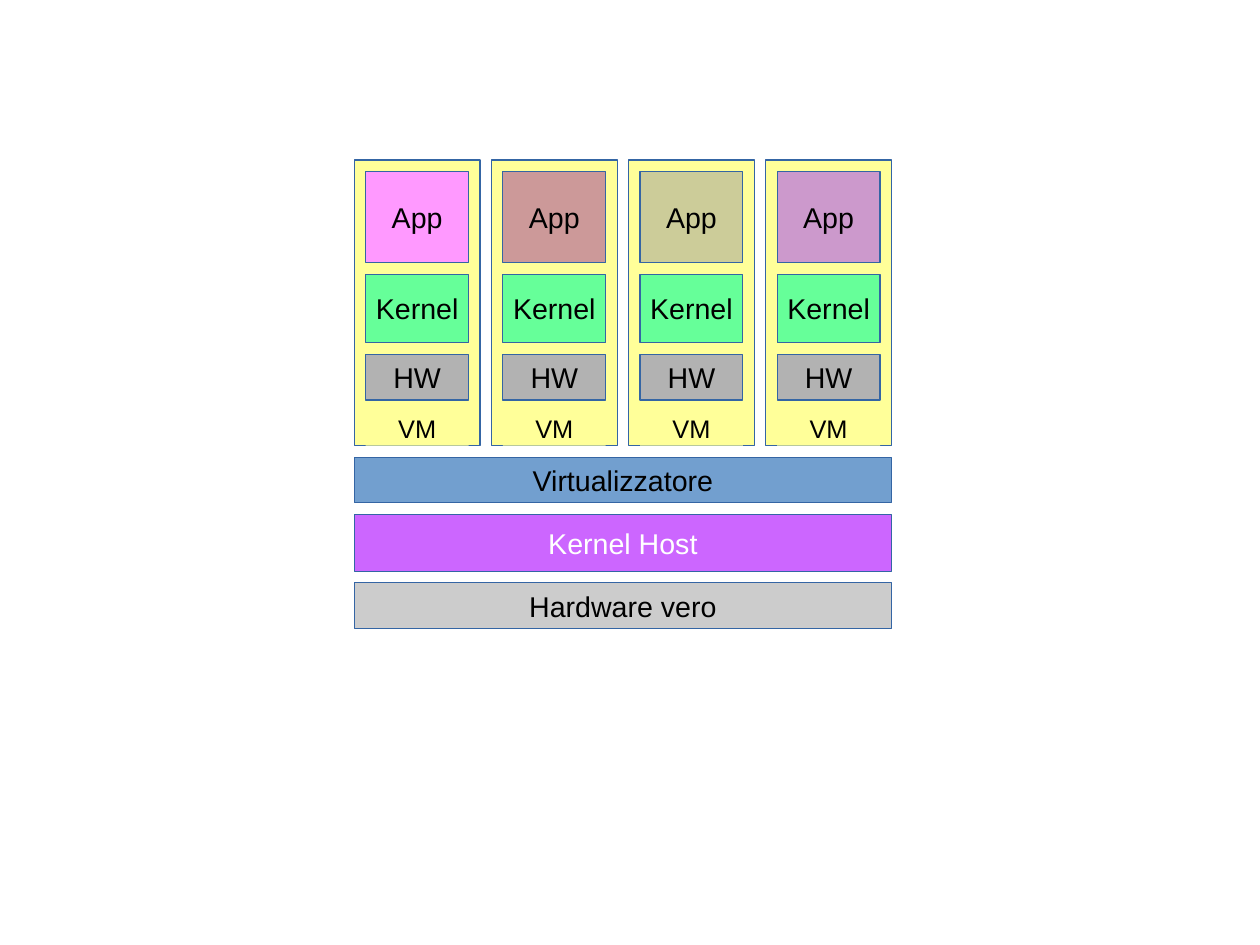
from dataclasses import dataclass

from pptx import Presentation
from pptx.dml.color import RGBColor
from pptx.enum.shapes import MSO_SHAPE
from pptx.enum.text import MSO_ANCHOR, PP_ALIGN
from pptx.slide import Slide
from pptx.util import Inches, Pt

CM_PER_INCH = 2.54
SLIDE_WIDTH_CM, SLIDE_HEIGHT_CM = 28, 21
BORDER = "3465A4"
VM_YELLOW = "FFFF99"
STACK_LEFT, STACK_WIDTH = 3.1, 4.7
VM_TOP, VM_WIDTH, VM_HEIGHT = 1.4, 1.1, 2.5
GAP = 0.1
APP_COLORS = ("FF99FF", "CC9999", "CCCC99", "CC99CC")


@dataclass(frozen=True)
class Layer:
    label: str
    top: float
    height: float
    fill: str
    text_color: str = "000000"
    size: int = 18
    bordered: bool = True


HOST_LAYERS = (
    Layer("Virtualizzatore", 4.0, 0.4, "729FCF"),
    Layer("Kernel Host", 4.5, 0.5, "CC66FF", text_color="FFFFFF"),
    Layer("Hardware vero", 5.1, 0.4, "CCCCCC"),
)
VM_FRAME = Layer("", VM_TOP, VM_HEIGHT, VM_YELLOW)
GUEST_LAYERS = (
    Layer("Kernel", 2.4, 0.6, "66FF99"),
    Layer("HW", 3.1, 0.4, "B2B2B2"),
    Layer("VM", 3.6, 0.3, VM_YELLOW, size=16, bordered=False),
)


def rgb(color: str) -> RGBColor:
    return RGBColor.from_string(color)


def draw_layer(slide: Slide, layer: Layer, left: float, width: float) -> None:
    block = slide.shapes.add_shape(
        MSO_SHAPE.RECTANGLE,
        Inches(left), Inches(layer.top), Inches(width), Inches(layer.height),
    )
    block.shadow.inherit = False
    block.fill.solid()
    block.fill.fore_color.rgb = rgb(layer.fill)
    if layer.bordered:
        block.line.color.rgb = rgb(BORDER)
        block.line.width = Pt(0)
    else:
        block.line.fill.background()
    if not layer.label:
        return

    frame = block.text_frame
    frame.word_wrap = False
    frame.vertical_anchor = MSO_ANCHOR.MIDDLE
    paragraph = frame.paragraphs[0]
    paragraph.text = layer.label
    paragraph.alignment = PP_ALIGN.CENTER
    paragraph.font.name = "Arial"
    paragraph.font.size = Pt(layer.size)
    paragraph.font.color.rgb = rgb(layer.text_color)


def draw_virtual_machine(slide: Slide, left: float, app_color: str) -> None:
    draw_layer(slide, VM_FRAME, left, VM_WIDTH)
    app = Layer("App", VM_TOP + GAP, 0.8, app_color)
    for layer in (app, *GUEST_LAYERS):
        draw_layer(slide, layer, left + GAP, VM_WIDTH - 2 * GAP)


def main() -> None:
    presentation = Presentation()
    presentation.slide_width = Inches(SLIDE_WIDTH_CM / CM_PER_INCH)
    presentation.slide_height = Inches(SLIDE_HEIGHT_CM / CM_PER_INCH)
    slide = presentation.slides.add_slide(presentation.slide_layouts[6])

    for column, app_color in enumerate(APP_COLORS):
        draw_virtual_machine(slide, STACK_LEFT + column * (VM_WIDTH + GAP), app_color)
    for layer in HOST_LAYERS:
        draw_layer(slide, layer, STACK_LEFT, STACK_WIDTH)

    presentation.save("out.pptx")


if __name__ == "__main__":
    main()
